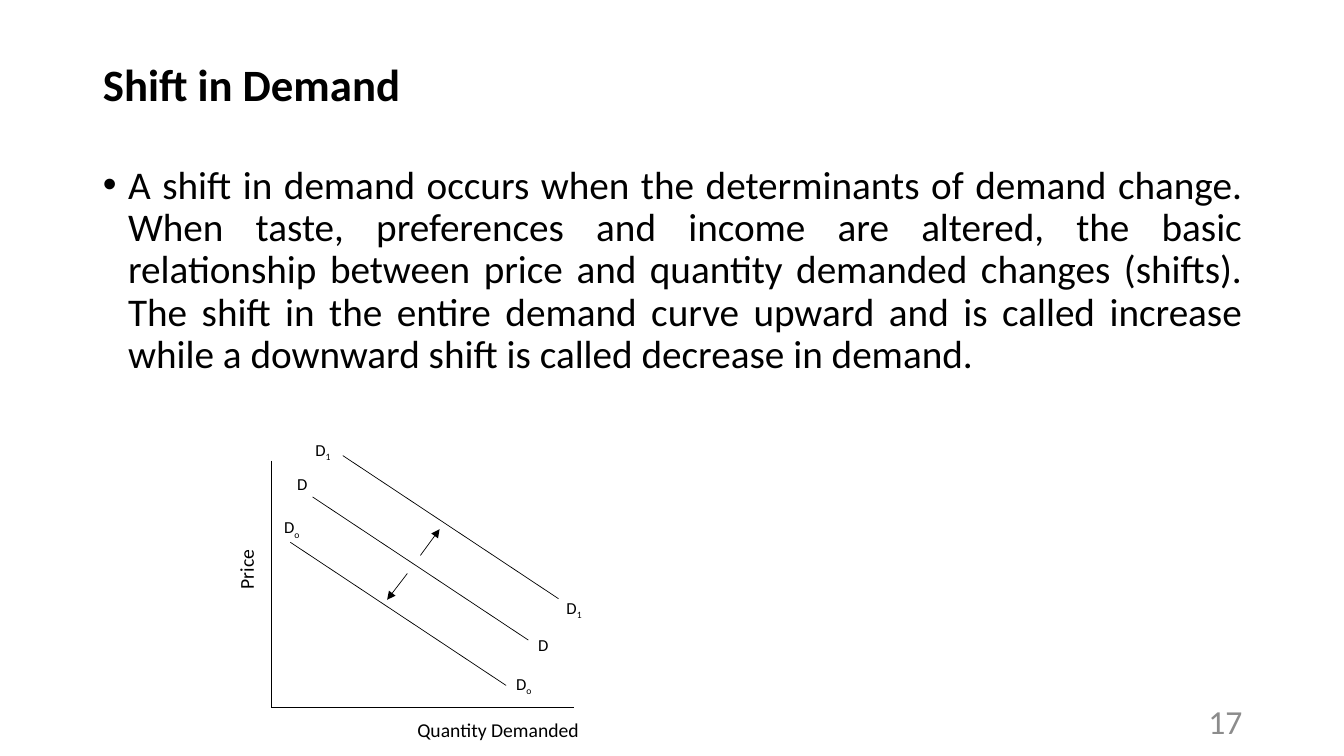
from lxml import etree
from pptx import Presentation
from pptx import util as u
from pptx.dml.color import RGBColor
from pptx.enum import shapes, text
from pptx.oxml.ns import qn

BLACK = RGBColor(0x00, 0x00, 0x00)
GRAY = RGBColor(0x8C, 0x8C, 0x8C)
FONT = "Calibri"
SHIFT_TEXT = (
    "A shift in demand occurs when the determinants of demand change. "
    "When taste, preferences and income are altered, the basic relationship "
    "between price and quantity demanded changes (shifts). The shift in the "
    "entire demand curve upward and is called increase while a downward shift "
    "is called decrease in demand."
)


class DemandSlide:
    def __init__(self, deck):
        self.slide = deck.slides.add_slide(deck.slide_layouts[1])

    def place(self, shape, left, top, width, height):
        shape.left, shape.top = u.Inches(left), u.Inches(top)
        shape.width, shape.height = u.Inches(width), u.Inches(height)

    def style(self, run, size, color=BLACK, bold=False):
        run.font.name = FONT
        run.font.size = u.Pt(size)
        run.font.bold = bold
        run.font.color.rgb = color

    def fill_placeholder(self, holder, box, words, size, align, anchor, bold=False):
        self.place(holder, *box)
        frame = holder.text_frame
        frame.text = words
        frame.auto_size = text.MSO_AUTO_SIZE.NONE
        frame.vertical_anchor = anchor
        paragraph = frame.paragraphs[0]
        paragraph.alignment = align
        paragraph.line_spacing = 0.9
        self.style(paragraph.runs[0], size, bold=bold)
        return paragraph

    def title(self, words):
        self.fill_placeholder(self.slide.shapes.title, (0.92, 0.4, 11.5, 0.93), words, 32,
                              text.PP_ALIGN.LEFT, text.MSO_ANCHOR.MIDDLE, bold=True)

    def bullet(self, words):
        paragraph = self.fill_placeholder(self.slide.placeholders[1], (0.92, 1.59, 11.5, 4.76),
                                          words, 28, text.PP_ALIGN.JUSTIFY, text.MSO_ANCHOR.TOP)
        paragraph.space_before = u.Pt(10)
        props = paragraph._p.get_or_add_pPr()
        props.set("marL", str(u.Inches(0.25)))
        props.set("indent", str(-u.Inches(0.25)))
        etree.SubElement(props, qn("a:buFont"), typeface="Arial")
        etree.SubElement(props, qn("a:buChar"), char="•")

    def line(self, start, end, arrow=False):
        connector = self.slide.shapes.add_connector(
            shapes.MSO_CONNECTOR.STRAIGHT, *(u.Inches(v) for v in (*start, *end)))
        connector.line.color.rgb = BLACK
        connector.line.width = u.Pt(0.5)
        if arrow:
            etree.SubElement(connector.line._get_or_add_ln(), qn("a:tailEnd"), type="triangle")
        etree.SubElement(connector._element.spPr, qn("a:effectLst"))

    def label(self, words, box, size, color=BLACK, subscript="", rotation=0,
              align=text.PP_ALIGN.LEFT, anchor=text.MSO_ANCHOR.TOP):
        label = self.slide.shapes.add_textbox(*(u.Inches(v) for v in box))
        label.rotation = rotation
        frame = label.text_frame
        frame.word_wrap = True
        frame.vertical_anchor = anchor
        frame.text = words
        paragraph = frame.paragraphs[0]
        paragraph.alignment = align
        if subscript:
            lowered = paragraph.add_run()
            lowered.text = subscript
            lowered._r.get_or_add_rPr().set("baseline", "-25000")
        for run in paragraph.runs:
            self.style(run, size, color)

    def demand_curve(self, start, label_start, label_end, subscript=""):
        left, top = start
        self.line(start, (left + 2.14, top + 1.42))
        height = 0.41 if subscript else 0.37
        for corner in (label_start, label_end):
            self.label("D", (*corner, 0.43, height), 12, subscript=subscript)


def main():
    deck = Presentation()
    deck.slide_width, deck.slide_height = u.Inches(13.33), u.Inches(7.5)
    page = DemandSlide(deck)
    page.title("Shift in Demand")
    page.bullet(SHIFT_TEXT)

    origin = (2.69, 7.02)
    page.line((2.69, 4.57), origin)
    page.line(origin, (5.69, 7.02))
    page.demand_curve((3.1, 4.93), (2.85, 4.65), (5.24, 6.25))
    page.demand_curve((2.88, 5.38), (2.72, 5.08), (5.02, 6.63), "o")
    page.demand_curve((3.4, 4.52), (3.03, 4.31), (5.52, 5.88), "1")
    page.line((4.17, 5.51), (4.36, 5.25), arrow=True)
    page.line((4.04, 5.69), (3.84, 5.95), arrow=True)

    page.label("Quantity Demanded", (4.04, 7.07, 2.35, 0.4), 14)
    page.label("Price", (2.14, 5.41, 0.67, 0.4), 14, rotation=270)
    page.label("17", (9.42, 6.95, 3, 0.4), 24, GRAY,
               align=text.PP_ALIGN.RIGHT, anchor=text.MSO_ANCHOR.MIDDLE)
    deck.save("out.pptx")


if __name__ == "__main__":
    main()
